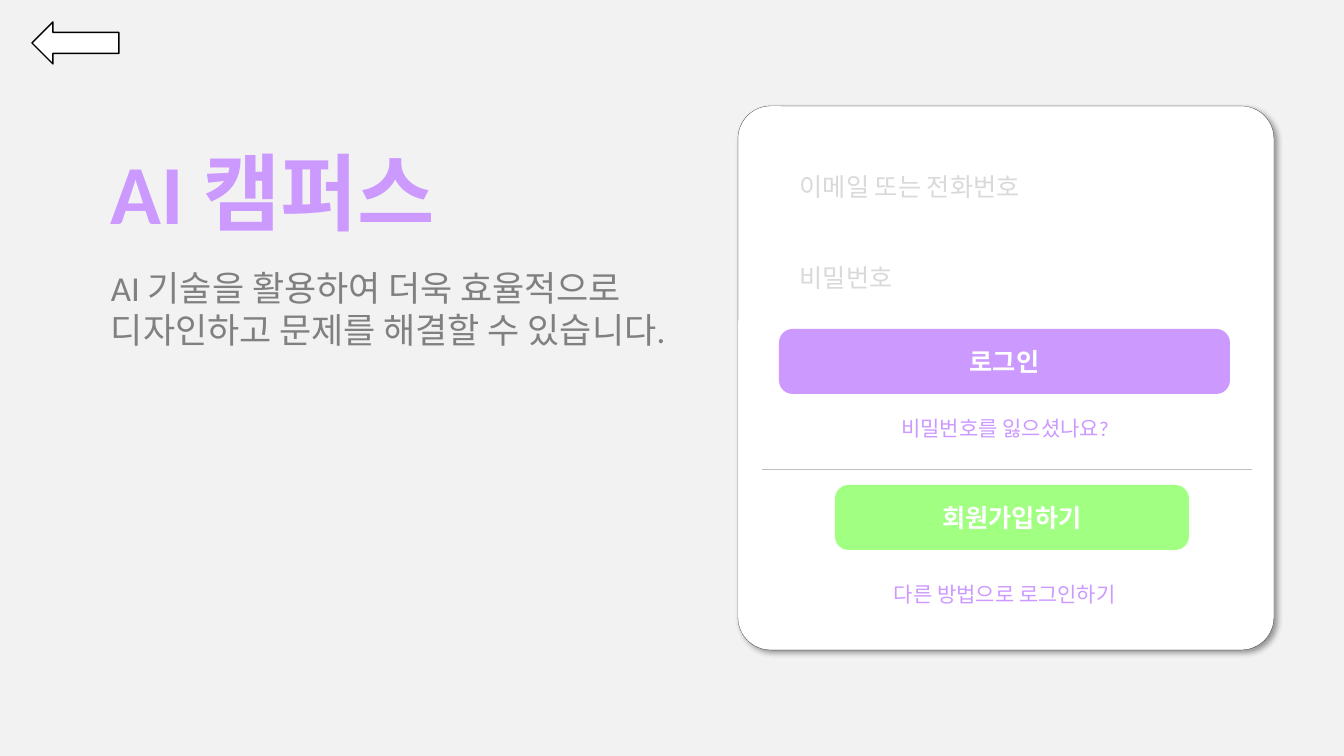
from lxml.etree import SubElement
from pptx import Presentation
from pptx.dml.color import RGBColor
from pptx.enum.shapes import MSO_CONNECTOR, MSO_SHAPE
from pptx.enum.text import MSO_ANCHOR, MSO_AUTO_SIZE, PP_ALIGN
from pptx.oxml import parse_xml
from pptx.oxml.ns import nsdecls, qn
from pptx.util import Pt

EMU_PER_PX = 12192000 / 1344

WHITE = RGBColor(0xFF, 0xFF, 0xFF)
BLACK = RGBColor(0x00, 0x00, 0x00)
PAPER = RGBColor(0xF2, 0xF2, 0xF2)
PURPLE = RGBColor(0xCC, 0x99, 0xFF)
GREEN = RGBColor(0x66, 0xFF, 0x33)
GRAY = RGBColor(0x80, 0x80, 0x80)
HINT = RGBColor(0xD9, 0xD9, 0xD9)
RULE = RGBColor(0xBF, 0xBF, 0xBF)

CARD_SHADOW = (
    f'<a:effectLst {nsdecls("a")}>'
    '<a:outerShdw blurRad="50800" dist="38100" dir="2700000" algn="tl" rotWithShape="0">'
    '<a:srgbClr val="000000"><a:alpha val="40000"/></a:srgbClr>'
    '</a:outerShdw></a:effectLst>'
)


def px(length):
    return round(length * EMU_PER_PX)


class LoginSlide:
    text_font = "Calibri"
    form_font = "Noto Sans CJK KR"

    def __init__(self):
        self.deck = Presentation()
        self.deck.slide_width, self.deck.slide_height = px(1344), px(756)
        self.page = self.deck.slides.add_slide(self.deck.slide_layouts[6])
        self.page.background.fill.solid()
        self.page.background.fill.fore_color.rgb = PAPER

    def style(self, frame, text, font, size, color, bold, align):
        frame.text = text
        for para in frame.paragraphs:
            para.alignment = align
            para.font.name = font
            para.font.size = Pt(size)
            para.font.bold = bold
            para.font.color.rgb = color

    def shape(self, kind, place, fill, line=None, corner=None):
        box = self.page.shapes.add_shape(kind, *map(px, place))
        box.shadow.inherit = False
        box.fill.solid()
        box.fill.fore_color.rgb = fill
        if line is None:
            box.line.fill.background()
        else:
            box.line.color.rgb = BLACK
            box.line.width = Pt(line)
        if corner is not None:
            box.adjustments[0] = corner
        return box

    def card(self, place):
        box = self.shape(MSO_SHAPE.ROUNDED_RECTANGLE, place, WHITE, 0.1, 0.061)
        properties = box._element.spPr
        properties.remove(properties.find(qn("a:effectLst")))
        properties.append(parse_xml(CARD_SHADOW))

    def form_box(self, place, text, fill, color, bold, align):
        box = self.shape(MSO_SHAPE.ROUNDED_RECTANGLE, place, fill, corner=0.21)
        box.text_frame.vertical_anchor = MSO_ANCHOR.MIDDLE
        self.style(box.text_frame, text, self.form_font, 18, color, bold, align)
        return box

    def field(self, place, text):
        box = self.form_box(place, text, WHITE, HINT, False, PP_ALIGN.LEFT)
        box.text_frame.margin_left = px(16)

    def button(self, place, text, fill, opacity=100):
        box = self.form_box(place, text, fill, WHITE, True, PP_ALIGN.CENTER)
        if opacity < 100:
            color = box._element.spPr.find(qn("a:solidFill"))[0]
            SubElement(color, qn("a:alpha"), val=str(opacity * 1000))

    def label(self, place, text, size, color, bold=False, align=PP_ALIGN.LEFT, wrap=True):
        box = self.page.shapes.add_textbox(*map(px, place))
        box.text_frame.word_wrap = wrap
        box.text_frame.auto_size = MSO_AUTO_SIZE.SHAPE_TO_FIT_TEXT
        self.style(box.text_frame, text, self.text_font, size, color, bold, align)

    def divider(self, left, right, y):
        rule = self.page.shapes.add_connector(
            MSO_CONNECTOR.STRAIGHT, px(left), px(y), px(right), px(y))
        rule.line.color.rgb = RULE
        rule.line.width = Pt(0.5)
        SubElement(rule._element.spPr, qn("a:effectLst"))

    def save(self):
        self.deck.save("out.pptx")


def main():
    slide = LoginSlide()

    # Login card
    slide.card((738, 106, 536, 544))

    # Headline and introduction
    slide.label((101, 136, 368, 112), "AI 캠퍼스", 60, PURPLE, bold=True, wrap=False)
    slide.label((101, 262, 622, 95),
                "AI 기술을 활용하여 더욱 효율적으로\n디자인하고 문제를 해결할 수 있습니다.", 25, GRAY)

    # Sign-in form
    for top, hint in ((147, "이메일 또는 전화번호"), (238, "비밀번호")):
        slide.field((779, top, 451, 78), hint)
    slide.button((779, 329, 451, 65), "로그인", PURPLE)
    slide.label((831, 411, 348, 35), "비밀번호를 잃으셨나요?", 15, PURPLE,
                align=PP_ALIGN.CENTER)

    # Other ways in
    slide.divider(762, 1252, 469)
    slide.button((835, 485, 354, 65), "회원가입하기", GREEN, opacity=61)
    slide.label((884, 577, 264, 35), "다른 방법으로 로그인하기", 15, PURPLE)

    # Back arrow
    slide.shape(MSO_SHAPE.LEFT_ARROW, (32, 22, 87, 42), WHITE, line=1)

    slide.save()


if __name__ == "__main__":
    main()
